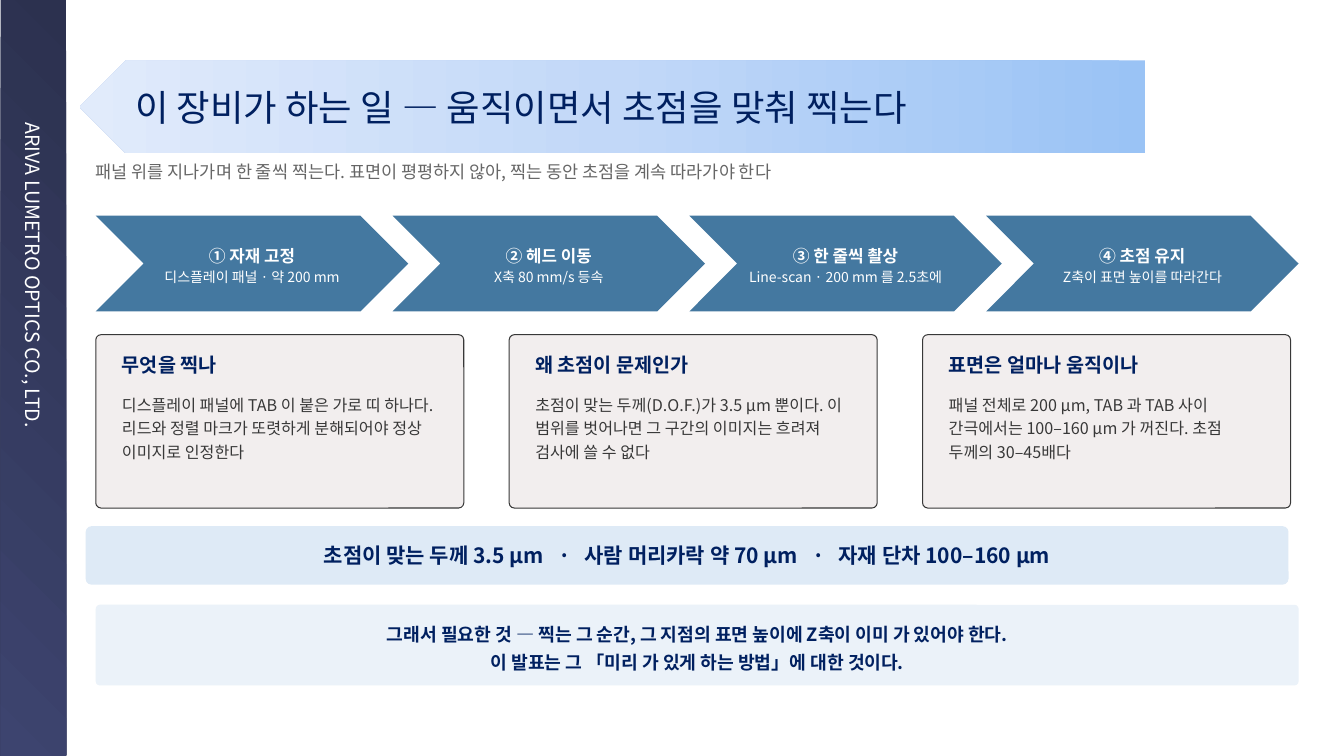
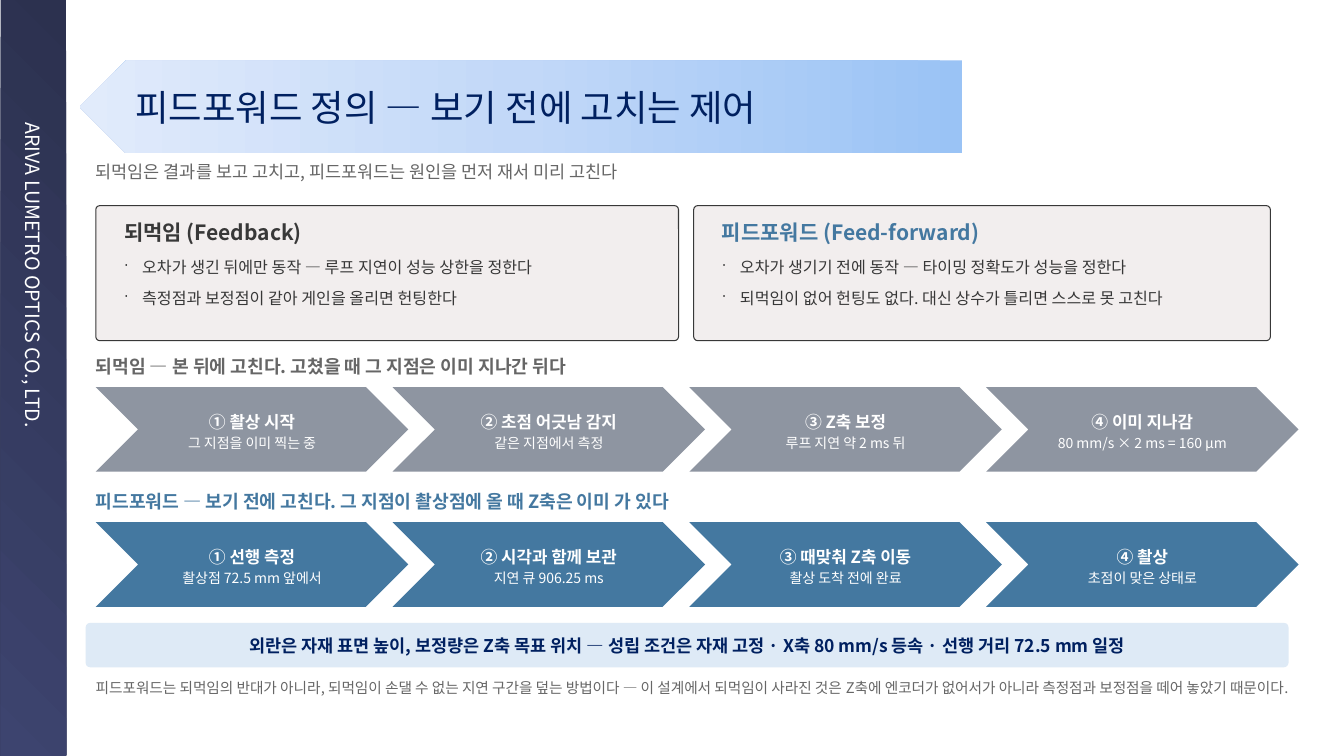
import pptx
import pptx.dml.color
import pptx.enum.shapes
import pptx.enum.text
import pptx.oxml
import pptx.oxml.ns
import pptx.util
from lxml import etree

Inches = pptx.util.Inches
Pt = pptx.util.Pt
Color = pptx.dml.color.RGBColor
Kind = pptx.enum.shapes.MSO_SHAPE
Anchor = pptx.enum.text.MSO_ANCHOR
qn = pptx.oxml.ns.qn

# Shared colours, font and measures
FONT = "Noto Sans CJK KR"
WHITE = Color(0xFF, 0xFF, 0xFF)
NAVY = Color(0x00, 0x20, 0x60)
STEEL = Color(0x44, 0x78, 0xA0)
SLATE = Color(0x8E, 0x95, 0xA1)
GRAY = Color(0x66, 0x66, 0x66)
INK = Color(0x38, 0x38, 0x38)
SAND = Color(0xF2, 0xEE, 0xEE)
SKY = Color(0xDE, 0xEA, 0xF6)
PALE = Color(0xEB, 0xF2, 0xF9)
NIGHT = Color(0x2C, 0x31, 0x4F)
DUSK = Color(0x3D, 0x44, 0x6F)
RIBBON = [Color(0x9A, 0xC3, 0xF5), Color(0xC2, 0xD8, 0xF8), Color(0xE1, 0xEB, 0xFB)]
LEFT, WIDE = 0.95, 11.93
TIGHT = (0.06, 0.02, 0.06, 0.02)
CENTER = {"alignment": pptx.enum.text.PP_ALIGN.CENTER}


def look(size, color, bold=False):
    return {"size": Pt(size), "bold": bold, "name": FONT, "color": color}


def add_run(para, text, style, gap=0):
    run = para.add_run()
    run.text = text
    for key, value in style.items():
        if key == "color":
            run.font.color.rgb = value
        else:
            setattr(run.font, key, value)
    props = run._r.get_or_add_rPr()
    etree.SubElement(props, qn("a:ea")).set("typeface", FONT)
    if gap:
        props.set("spc", str(int(gap * 100)))


def write(frame, lines, inset=(0, 0, 0, 0), anchor=Anchor.TOP, bullet=False, gap=0):
    """Fill a frame with (text, font values, paragraph values) lines."""
    sides = ("margin_left", "margin_top", "margin_right", "margin_bottom")
    for side, value in zip(sides, inset):
        setattr(frame, side, Inches(value))
    frame.word_wrap = True
    frame.auto_size = pptx.enum.text.MSO_AUTO_SIZE.NONE
    frame.vertical_anchor = anchor
    for i, (text, style, form) in enumerate(lines):
        para = frame.add_paragraph() if i else frame.paragraphs[0]
        for key, value in {"alignment": pptx.enum.text.PP_ALIGN.LEFT, **form}.items():
            setattr(para, key, value)
        if bullet:
            add_bullet(para)
        # Dots between items get wider letter spacing when a gap is given
        for j, part in enumerate(text.split(" · ") if gap else [text]):
            if j:
                add_run(para, " ·", style, gap)
                part = " " + part
            add_run(para, part, style)


def add_bullet(para):
    props = para._p.get_or_add_pPr()
    props.set("marL", str(Inches(0.18)))
    props.set("indent", str(-Inches(0.18)))
    etree.SubElement(props, qn("a:buSzPct")).set("val", "90000")
    etree.SubElement(props, qn("a:buChar")).set("char", "·")


def add_text(slide, box, lines, **options):
    area = slide.shapes.add_textbox(*map(Inches, box))
    write(area.text_frame, lines, **options)


def add_shape(slide, kind, box, fill=None, line=None, round=None):
    shape = slide.shapes.add_shape(kind, *map(Inches, box))
    shape.shadow.inherit = False
    if fill is not None:
        shape.fill.solid()
        shape.fill.fore_color.rgb = fill
    if line is None:
        shape.line.fill.background()
    else:
        shape.line.color.rgb = line
        shape.line.width = Pt(0.75)
    if round is not None:
        shape.adjustments[0] = round
    return shape


def add_fade(shape, colors, angle):
    step = 100000 // (len(colors) - 1)
    stops = "".join(f'<a:gs pos="{i * step}"><a:srgbClr val="{c}"/></a:gs>'
                    for i, c in enumerate(colors))
    fade = pptx.oxml.parse_xml(
        f'<a:gradFill {pptx.oxml.ns.nsdecls("a")} rotWithShape="1"><a:gsLst>{stops}</a:gsLst>'
        f'<a:lin ang="{angle * 60000}" scaled="0"/></a:gradFill>')
    shape.element.spPr.find(qn("a:prstGeom")).addnext(fade)


def add_band(slide):
    """Side band, kept on the layout so every slide shows it."""
    band = add_shape(slide, Kind.RECTANGLE, (-3.42, 3.42, 7.5, 0.65))
    band.rotation = 90
    add_fade(band, [NIGHT, DUSK], 45)
    write(band.text_frame, [("ARIVA LUMETRO OPTICS CO., LTD.", look(14, WHITE), {})],
          (1.22, 0.05, 0.1, 0.05), Anchor.MIDDLE)
    band.element.nvSpPr.cNvPr.id = 20
    slide.slide_layout.shapes.element.append(band.element)


def add_head(slide, width, title, lead):
    """Title on its ribbon, with the lead line below."""
    x, y, high = 0.79, 0.6, 0.92
    ribbon = add_shape(slide, Kind.PENTAGON, (x, y, width, high))
    ribbon.element.spPr.xfrm.set("flipH", "1")
    add_fade(ribbon, RIBBON, 0)
    head = slide.shapes.title
    head.element.addprevious(ribbon.element)
    place = {"left": x + 0.55, "top": y, "width": width - 0.98, "height": high}
    for key, value in place.items():
        setattr(head, key, Inches(value))
    write(head.text_frame, [(title, look(26, NAVY), {})], anchor=Anchor.MIDDLE)
    add_text(slide, (LEFT, 1.6, WIDE, 0.34), [(lead, look(12.5, GRAY), {})])


def add_flow(slide, box, fill, steps):
    """Row of chevrons spread evenly over the box."""
    x, y, width, high = box
    size = 3.1
    pitch = (width - size) / (len(steps) - 1)
    form = {**CENTER, "line_spacing": 1.2}
    for i, (name, note) in enumerate(steps):
        step = add_shape(slide, Kind.CHEVRON, (x + i * pitch, y, size, high), fill)
        write(step.text_frame, [(name, look(12, WHITE, True), form),
                                (note, look(10, WHITE), form)], TIGHT, Anchor.MIDDLE)


def add_card(slide, box, head, style, body, form, pad, bullet=False):
    """Rounded card; pad is the side inset, head offset and body offset."""
    x, y, width, high = box
    side, top, drop = pad
    add_shape(slide, Kind.ROUNDED_RECTANGLE, box, SAND, INK, 0.03)
    inner = width - 2 * side
    add_text(slide, (x + side, y + top, inner, 0.3), [(head, style, {})])
    add_text(slide, (x + side, y + drop, inner, high - drop - 0.12),
             [(text, look(11.5, INK), form) for text in body], bullet=bullet)


def add_bar(slide, box, fill, size, lines, round=0.1, form=CENTER, gap=0):
    bar = add_shape(slide, Kind.ROUNDED_RECTANGLE, box, fill, round=round)
    write(bar.text_frame, [(text, look(size, NAVY, True), form) for text in lines],
          TIGHT, Anchor.MIDDLE, gap=gap)


def make_task(slide):
    add_head(slide, 10.57, "이 장비가 하는 일 — 움직이면서 초점을 맞춰 찍는다",
             "패널 위를 지나가며 한 줄씩 찍는다. 표면이 평평하지 않아, 찍는 동안 초점을 계속 따라가야 한다")
    add_flow(slide, (LEFT, 2.14, WIDE, 0.95), STEEL, [
        ("① 자재 고정", "디스플레이 패널 · 약 200 mm"),
        ("② 헤드 이동", "X축 80 mm/s 등속"),
        ("③ 한 줄씩 촬상", "Line-scan · 200 mm 를 2.5초에"),
        ("④ 초점 유지", "Z축이 표면 높이를 따라간다")])
    cards = [
        ("무엇을 찍나",
         "디스플레이 패널에 TAB 이 붙은 가로 띠 하나다. 리드와 정렬 마크가 또렷하게 분해되어야 정상 이미지로 인정한다"),
        ("왜 초점이 문제인가",
         "초점이 맞는 두께(D.O.F.)가 3.5 µm 뿐이다. 이 범위를 벗어나면 그 구간의 이미지는 흐려져 검사에 쓸 수 없다"),
        ("표면은 얼마나 움직이나",
         "패널 전체로 200 µm, TAB 과 TAB 사이 간극에서는 100–160 µm 가 꺼진다. 초점 두께의 30–45배다")]
    for i, (head, body) in enumerate(cards):
        add_card(slide, (LEFT + i * 4.1, 3.32, 3.65, 1.72), head, look(14, NAVY, True),
                 [body], {"line_spacing": 1.22}, (0.26, 0.18, 0.56))
    add_bar(slide, (0.85, 5.22, WIDE, 0.58), SKY, 15,
            ["초점이 맞는 두께 3.5 µm · 사람 머리카락 약 70 µm · 자재 단차 100–160 µm"], gap=6.7)
    add_bar(slide, (LEFT, 6, WIDE, 0.8), PALE, 13,
            ["그래서 필요한 것 — 찍는 그 순간, 그 지점의 표면 높이에 Z축이 이미 가 있어야 한다.",
             "이 발표는 그 「미리 가 있게 하는 방법」에 대한 것이다."],
            0.05, {**CENTER, "line_spacing": 1.3})


def make_method(slide):
    add_head(slide, 8.75, "피드포워드 정의 — 보기 전에 고치는 제어",
             "되먹임은 결과를 보고 고치고, 피드포워드는 원인을 먼저 재서 미리 고친다")
    cards = [
        (LEFT, 5.78, "되먹임 (Feedback)", INK,
         ["오차가 생긴 뒤에만 동작 — 루프 지연이 성능 상한을 정한다",
          "측정점과 보정점이 같아 게인을 올리면 헌팅한다"]),
        (6.88, 5.72, "피드포워드 (Feed-forward)", STEEL,
         ["오차가 생기기 전에 동작 — 타이밍 정확도가 성능을 정한다",
          "되먹임이 없어 헌팅도 없다. 대신 상수가 틀리면 스스로 못 고친다"])]
    for x, width, head, color, body in cards:
        add_card(slide, (x, 2.04, width, 1.34), head, look(15, color, True), body,
                 {"line_spacing": 1.2, "space_after": Pt(5)}, (0.28, 0.14, 0.48), True)
    # Each flow sits under its own heading
    flows = [
        (3.52, GRAY, SLATE, "되먹임 — 본 뒤에 고친다. 고쳤을 때 그 지점은 이미 지나간 뒤다", [
            ("① 촬상 시작", "그 지점을 이미 찍는 중"),
            ("② 초점 어긋남 감지", "같은 지점에서 측정"),
            ("③ Z축 보정", "루프 지연 약 2 ms 뒤"),
            ("④ 이미 지나감", "80 mm/s × 2 ms = 160 µm")]),
        (4.86, STEEL, STEEL, "피드포워드 — 보기 전에 고친다. 그 지점이 촬상점에 올 때 Z축은 이미 가 있다", [
            ("① 선행 측정", "촬상점 72.5 mm 앞에서"),
            ("② 시각과 함께 보관", "지연 큐 906.25 ms"),
            ("③ 때맞춰 Z축 이동", "촬상 도착 전에 완료"),
            ("④ 촬상", "초점이 맞은 상태로")])]
    for y, color, fill, head, steps in flows:
        add_text(slide, (LEFT, y, WIDE, 0.28), [(head, look(13, color, True), {})])
        add_flow(slide, (LEFT, y + 0.32, WIDE, 0.84), fill, steps)
    add_bar(slide, (0.85, 6.18, WIDE, 0.44), SKY, 12.5,
            ["외란은 자재 표면 높이, 보정량은 Z축 목표 위치 — 성립 조건은 자재 고정 · X축 80 mm/s 등속 · 선행 거리 72.5 mm 일정"])
    note = ("피드포워드는 되먹임의 반대가 아니라, 되먹임이 손댈 수 없는 지연 구간을 덮는 방법이다 — "
            "이 설계에서 되먹임이 사라진 것은 Z축에 엔코더가 없어서가 아니라 측정점과 보정점을 떼어 놓았기 때문이다.")
    add_text(slide, (LEFT, 6.72, 11.83, 0.3), [(note, look(10.5, GRAY), {"line_spacing": 1.1})])


def main():
    deck = pptx.Presentation()
    deck.slide_width = Inches(13.33)
    deck.slide_height = Inches(7.5)
    layout = deck.slide_layouts[5]
    for i, make in enumerate((make_task, make_method)):
        slide = deck.slides.add_slide(layout)
        if i == 0:
            add_band(slide)
        make(slide)
    deck.save("out.pptx")


if __name__ == "__main__":
    main()
